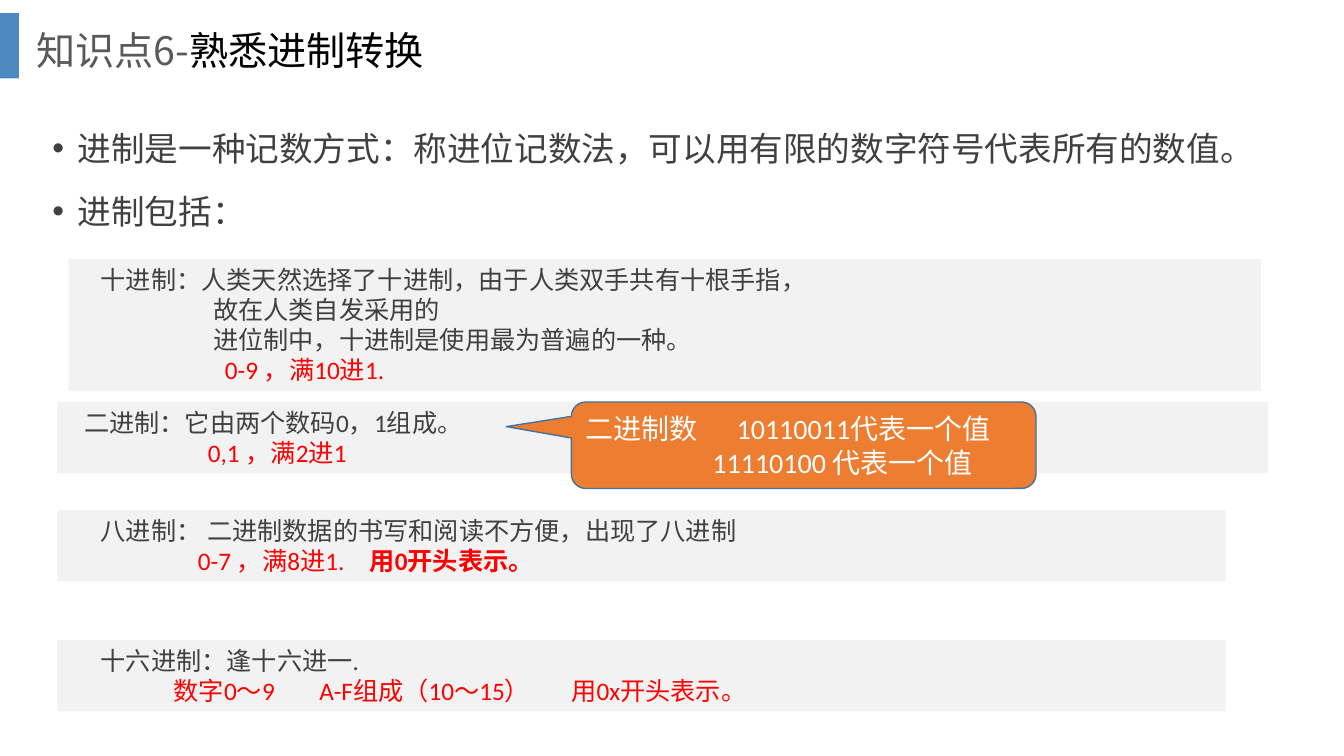
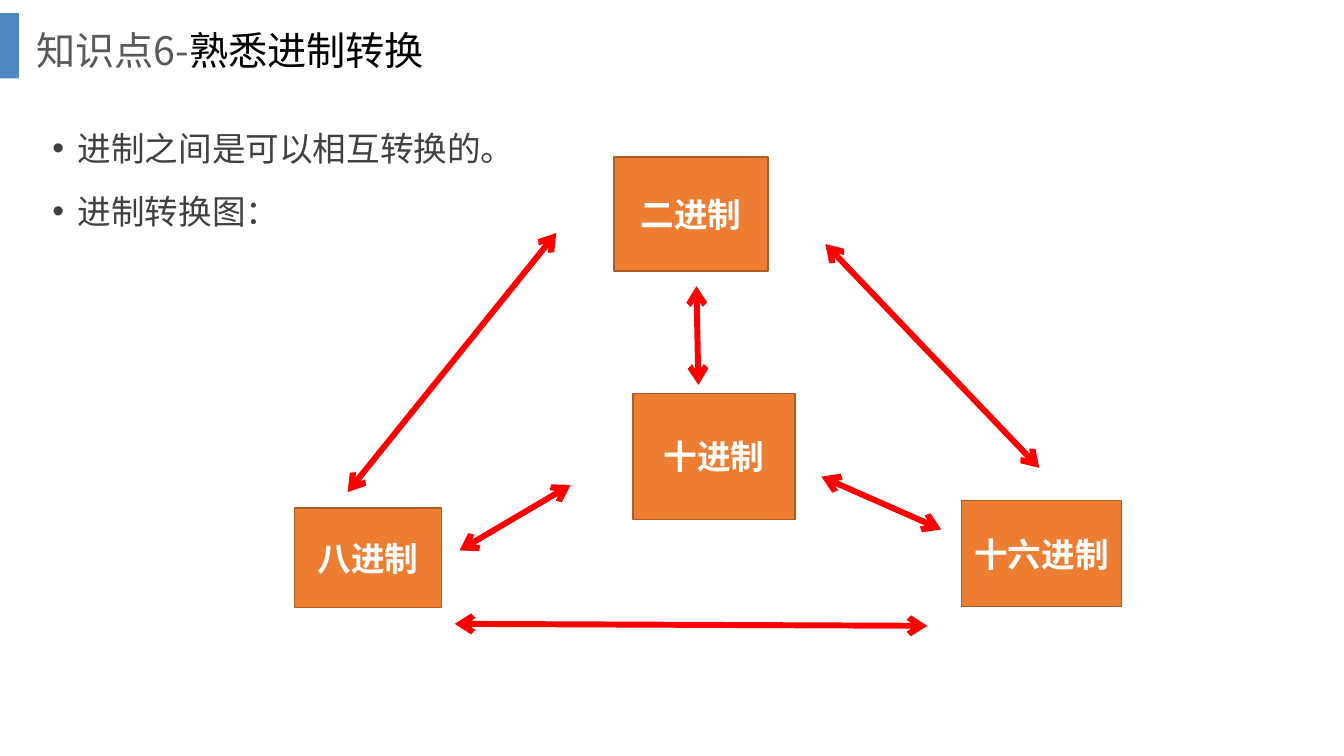
from dataclasses import dataclass

from lxml.etree import SubElement
from pptx import Presentation
from pptx.dml.color import RGBColor
from pptx.enum.shapes import MSO_CONNECTOR, MSO_SHAPE
from pptx.enum.text import MSO_ANCHOR, MSO_AUTO_SIZE, PP_ALIGN
from pptx.oxml.ns import qn
from pptx.presentation import Presentation as Deck
from pptx.shapes.autoshape import Shape
from pptx.slide import Slide
from pptx.text.text import TextFrame
from pptx.util import Cm, Pt

BAND_BLUE = RGBColor(0x2E, 0x75, 0xB6)
TITLE_GREY = RGBColor(0x59, 0x59, 0x59)
TEXT_GREY = RGBColor(0x40, 0x40, 0x40)
PANEL_GREY = RGBColor(0xF2, 0xF2, 0xF2)
ORANGE = RGBColor(0xED, 0x7D, 0x31)
NODE_EDGE = RGBColor(0xAF, 0x5C, 0x24)
CALLOUT_EDGE = RGBColor(0x43, 0x73, 0x9E)
RED = RGBColor(0xFF, 0x00, 0x00)
BLACK = RGBColor(0x00, 0x00, 0x00)
WHITE = RGBColor(0xFF, 0xFF, 0xFF)

HEADING_FONT = "Noto Sans CJK SC"
PANEL_FONT = "Calibri"
TITLE_ONLY = 5


@dataclass(frozen=True)
class Area:
    left: float
    top: float
    width: float
    height: float

    def lengths(self) -> tuple[Cm, Cm, Cm, Cm]:
        return Cm(self.left), Cm(self.top), Cm(self.width), Cm(self.height)


@dataclass(frozen=True)
class Span:
    text: str
    color: RGBColor = TEXT_GREY
    bold: bool = False


@dataclass(frozen=True)
class Line:
    spans: tuple[Span, ...]
    indent: float = 0
    tabs: tuple[float, ...] = ()


@dataclass(frozen=True)
class Panel:
    area: Area
    lines: tuple[Line, ...]


@dataclass(frozen=True)
class Node:
    label: str
    area: Area


@dataclass(frozen=True)
class Link:
    start: tuple[float, float]
    end: tuple[float, float]


TITLE = Line((Span("知识点6-", TITLE_GREY), Span("熟悉进制转换", BLACK)))
BAND = Area(0, 0.33, 0.48, 1.65)
TITLE_AREA = Area(0.66, 0.15, 32.16, 2.36)
BULLET_AREA = Area(1.07, 2.9, 31.22, 6.2)

PANELS = (
    Panel(Area(1.73, 6.53, 30.05, 3.33), (
        Line((Span("十进制：人类天然选择了十进制，由于人类双手共有十根手指，"),), 0.56),
        Line((Span("故在人类自发采用的"),), 3.39),
        Line((Span("进位制中，十进制是使用最为普遍的一种。"),), 3.39),
        Line((Span("0-9 ，满10进1.", RED),), 3.69),
    )),
    Panel(Area(1.45, 10.13, 30.51, 1.8), (
        Line((Span("二进制：它由两个数码0，1组成。"),), 0.42),
        Line((Span("0,1 ，满2进1", RED),), 3.54),
    )),
    Panel(Area(1.45, 12.85, 29.44, 1.8), (
        Line((Span("八进制： 二进制数据的书写和阅读不方便，出现了八进制"),), 0.84),
        Line((Span("0-7 ，满8进1.\t", RED), Span("用0开头表示。", RED, True)), 3.29, (8.63,)),
    )),
    Panel(Area(1.45, 16.13, 29.44, 1.8), (
        Line((Span("十六进制：逢十六进一."),), 0.84),
        Line((Span("数字0～9\tA-F组成（10～15）\t用0x开头表示。", RED),), 2.68, (6.14, 12.51)),
    )),
)

CALLOUT = Panel(Area(14.4, 10.13, 11.71, 2.18), (
    Line((Span("二进制数\t10110011代表一个值", WHITE),), 0, (3.34,)),
    Line((Span("11110100 代表一个值", WHITE),), 3.2),
))
CALLOUT_ADJUSTMENTS = (-0.64, -0.215, 0.167)

NODES = (
    Node("二进制", Area(15.47, 3.96, 3.89, 2.87)),
    Node("十六进制", Area(24.23, 12.62, 4.04, 2.67)),
    Node("八进制", Area(7.42, 12.8, 3.71, 2.51)),
    Node("十进制", Area(15.95, 9.91, 4.09, 3.18)),
)

LINKS = (
    Link((8.76, 12.4), (14.02, 5.87)),
    Link((26.19, 11.79), (20.8, 6.15)),
    Link((23.37, 15.77), (11.46, 15.72)),
    Link((17.6, 9.7), (17.55, 7.21)),
    Link((14.38, 12.22), (11.58, 13.87)),
    Link((23.72, 13.34), (20.7, 12.01)),
)


def write_lines(frame: TextFrame, lines: tuple[Line, ...], font: str, size: float) -> None:
    frame.word_wrap = True
    for number, line in enumerate(lines):
        paragraph = frame.add_paragraph() if number else frame.paragraphs[0]
        paragraph.alignment = PP_ALIGN.LEFT
        properties = paragraph._p.get_or_add_pPr()
        properties.set("marL", "0")
        properties.set("indent", str(Cm(line.indent)))
        if line.tabs:
            stops = SubElement(properties, qn("a:tabLst"))
            for position in line.tabs:
                SubElement(stops, qn("a:tab"), pos=str(Cm(position)), algn="l")
        for span in line.spans:
            run = paragraph.add_run()
            run.text = span.text
            run.font.name = font
            run.font.size = Pt(size)
            run.font.bold = span.bold
            run.font.color.rgb = span.color
            SubElement(run.font._element, qn("a:ea"), typeface=font)


def add_block(slide: Slide, area: Area, fill: RGBColor, edge: RGBColor | None = None,
              preset: MSO_SHAPE = MSO_SHAPE.RECTANGLE) -> Shape:
    block = slide.shapes.add_shape(preset, *area.lengths())
    block.shadow.inherit = False
    block.fill.solid()
    block.fill.fore_color.rgb = fill
    if edge is None:
        block.line.fill.background()
    else:
        block.line.color.rgb = edge
        block.line.width = Pt(1)
    return block


def add_bullets(slide: Slide, texts: tuple[str, ...]) -> None:
    frame = slide.shapes.add_textbox(*BULLET_AREA.lengths()).text_frame
    write_lines(frame, tuple(Line((Span(text),)) for text in texts), HEADING_FONT, 24)
    for number, paragraph in enumerate(frame.paragraphs):
        properties = paragraph._p.get_or_add_pPr()
        properties.set("marL", str(Cm(0.64)))
        properties.set("indent", str(Cm(-0.64)))
        SubElement(properties, qn("a:buFont"), typeface="Arial")
        SubElement(properties, qn("a:buChar"), char="•")
        paragraph.line_spacing = 1.2
        if number:
            paragraph.space_before = Pt(10)


def start_slide(deck: Deck, bullets: tuple[str, ...]) -> Slide:
    slide = deck.slides.add_slide(deck.slide_layouts[TITLE_ONLY])
    band = add_block(slide, BAND, BAND_BLUE)
    band_color = band.fill._xPr.find(qn("a:solidFill"))[0]
    SubElement(band_color, qn("a:alpha"), val="85000")

    title = slide.shapes.title
    title.left, title.top, title.width, title.height = TITLE_AREA.lengths()
    title.text_frame.auto_size = MSO_AUTO_SIZE.NONE
    title.text_frame.vertical_anchor = MSO_ANCHOR.MIDDLE
    write_lines(title.text_frame, (TITLE,), HEADING_FONT, 28)
    title.text_frame.paragraphs[0].line_spacing = 0.9

    add_bullets(slide, bullets)
    return slide


def add_panel(slide: Slide, panel: Panel) -> None:
    block = add_block(slide, panel.area, PANEL_GREY)
    block.text_frame.vertical_anchor = MSO_ANCHOR.TOP
    write_lines(block.text_frame, panel.lines, PANEL_FONT, 18)


def add_callout(slide: Slide) -> None:
    callout = add_block(slide, CALLOUT.area, ORANGE, CALLOUT_EDGE,
                        MSO_SHAPE.ROUNDED_RECTANGULAR_CALLOUT)
    for number, value in enumerate(CALLOUT_ADJUSTMENTS):
        callout.adjustments[number] = value
    callout.text_frame.vertical_anchor = MSO_ANCHOR.MIDDLE
    write_lines(callout.text_frame, CALLOUT.lines, PANEL_FONT, 20)


def add_node(slide: Slide, node: Node) -> None:
    block = add_block(slide, node.area, ORANGE, NODE_EDGE)
    block.text_frame.vertical_anchor = MSO_ANCHOR.MIDDLE
    write_lines(block.text_frame, (Line((Span(node.label, WHITE, True),)),), HEADING_FONT, 24)
    block.text_frame.paragraphs[0].alignment = PP_ALIGN.CENTER


def add_link(slide: Slide, link: Link) -> None:
    ends = [Cm(value) for value in link.start + link.end]
    arrow = slide.shapes.add_connector(MSO_CONNECTOR.STRAIGHT, *ends)
    arrow.line.color.rgb = RED
    arrow.line.width = Pt(4.25)
    outline = arrow.line._get_or_add_ln()
    for end in ("a:headEnd", "a:tailEnd"):
        SubElement(outline, qn(end), type="arrow")
    SubElement(arrow._element.spPr, qn("a:effectLst"))


def build_systems_slide(deck: Deck) -> None:
    slide = start_slide(deck, (
        "进制是一种记数方式：称进位记数法，可以用有限的数字符号代表所有的数值。",
        "进制包括：",
    ))
    for panel in PANELS:
        add_panel(slide, panel)
    add_callout(slide)


def build_conversion_slide(deck: Deck) -> None:
    slide = start_slide(deck, ("进制之间是可以相互转换的。", "进制转换图："))
    for node in NODES:
        add_node(slide, node)
    for link in LINKS:
        add_link(slide, link)


def main() -> None:
    deck = Presentation()
    deck.slide_width, deck.slide_height = Cm(33.87), Cm(19.05)
    build_systems_slide(deck)
    build_conversion_slide(deck)
    deck.save("out.pptx")


if __name__ == "__main__":
    main()
